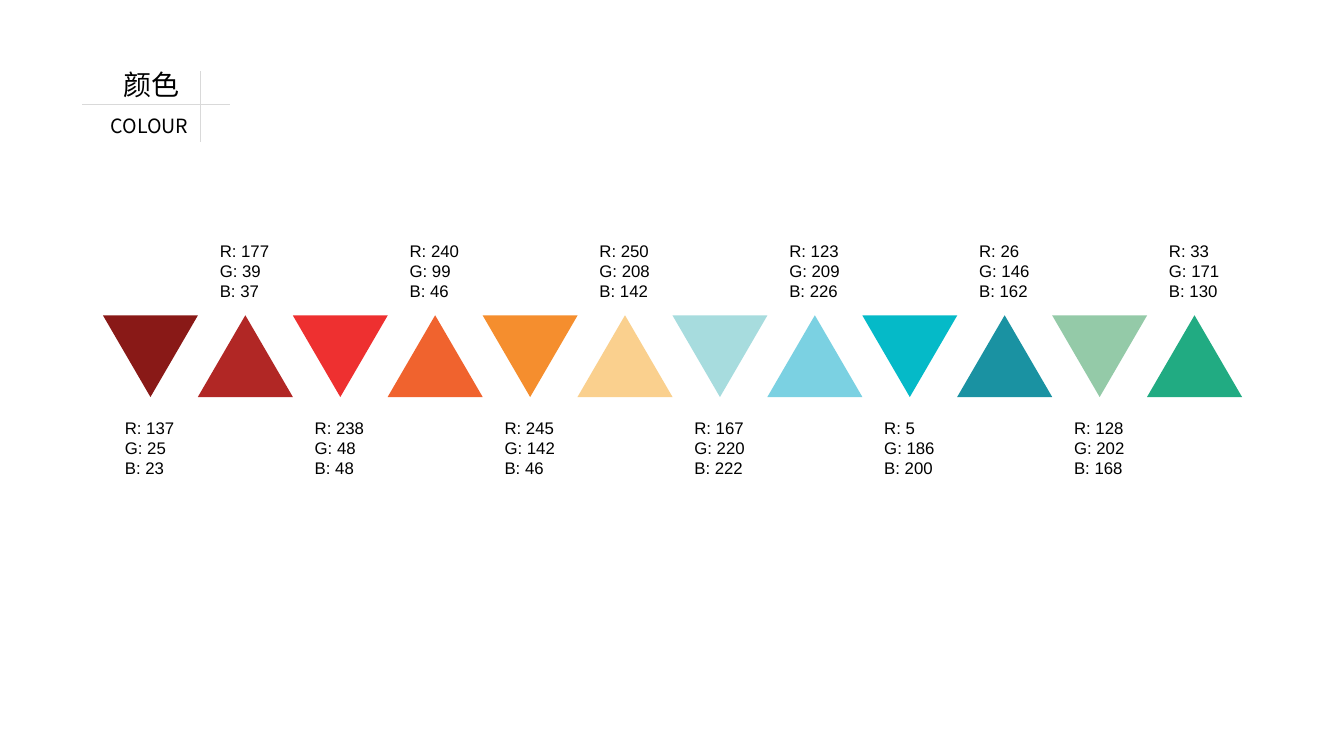
from lxml.etree import SubElement
from pptx import Presentation
from pptx.dml.color import RGBColor as RGB
from pptx.enum.shapes import MSO_CONNECTOR as LINK, MSO_SHAPE as SHAPE
from pptx.enum.text import MSO_ANCHOR as ANCHOR, MSO_AUTO_SIZE as FIT, PP_ALIGN as ALIGN
from pptx.oxml.ns import qn
from pptx.util import Pt

BLACK = RGB(0, 0, 0)
GREY = RGB(217, 217, 217)
HEAD_FONT = "Noto Sans CJK TC"
TONES = [
    RGB(137, 25, 23), RGB(177, 39, 37), RGB(238, 48, 48), RGB(240, 99, 46),
    RGB(245, 142, 46), RGB(250, 208, 142), RGB(167, 220, 222), RGB(123, 209, 226),
    RGB(5, 186, 200), RGB(26, 146, 162), RGB(148, 202, 168), RGB(33, 171, 130),
]
SAGE = 10
SAGE_LABEL = (128, 202, 168)

LEFT, TOP, STEP = 73.5, 225.2, 67.8
WIDE, HIGH = 67.9, 58.4
INDENT = 8.6
ABOVE, BELOW = 168.5, 294.5


def set_text(shape, text, size, font):
    frame = shape.text_frame
    frame.text = text
    frame.word_wrap = False
    frame.auto_size = FIT.NONE
    frame.vertical_anchor = ANCHOR.TOP
    for para in frame.paragraphs:
        para.alignment = ALIGN.LEFT
        for run in para.runs:
            run.font.size = Pt(size)
            run.font.name = font
            run.font.color.rgb = BLACK
            SubElement(run.font._element, qn("a:ea"), typeface=font)


def add_title(slide, text):
    title = slide.shapes.title
    title.left, title.top = Pt(81.2), Pt(44.6)
    title.width, title.height = Pt(55), Pt(31.5)
    set_text(title, text, 20, HEAD_FONT)


def add_label(slide, text, x, y, w, h, size, font):
    box = slide.shapes.add_textbox(Pt(x), Pt(y), Pt(w), Pt(h))
    set_text(box, text, size, font)


def add_rule(slide, x1, y1, x2, y2):
    rule = slide.shapes.add_connector(LINK.STRAIGHT, Pt(x1), Pt(y1), Pt(x2), Pt(y2))
    rule.line.color.rgb = GREY
    rule.line.width = Pt(0.5)
    SubElement(rule._element.spPr, qn("a:effectLst"))


def add_swatch(group, x, tone, down):
    swatch = group.shapes.add_shape(
        SHAPE.ISOSCELES_TRIANGLE, Pt(x), Pt(TOP), Pt(WIDE), Pt(HIGH))
    swatch.rotation = 180 if down else 0
    swatch.shadow.inherit = False
    swatch.fill.solid()
    swatch.fill.fore_color.rgb = tone
    swatch.line.fill.background()


def main():
    deck = Presentation()
    deck.slide_width, deck.slide_height = Pt(960), Pt(540)
    slide = deck.slides.add_slide(deck.slide_layouts[5])

    add_title(slide, "颜色")
    add_rule(slide, 58.6, 74.9, 164.3, 74.9)
    add_rule(slide, 143.3, 50.8, 143.3, 101.5)
    add_label(slide, "COLOUR", 72, 77.8, 72.7, 24.5, 14, HEAD_FONT)

    group = slide.shapes.add_group_shape()
    for i, tone in enumerate(TONES):
        x = LEFT + i * STEP
        down = i % 2 == 0
        add_swatch(group, x, tone, down)
        red, green, blue = SAGE_LABEL if i == SAGE else tone
        text = f"R: {red}\nG: {green}\nB: {blue}"
        add_label(slide, text, x + INDENT, BELOW if down else ABOVE, 51, 51, 12, "Arial")

    deck.save("out.pptx")


if __name__ == "__main__":
    main()
